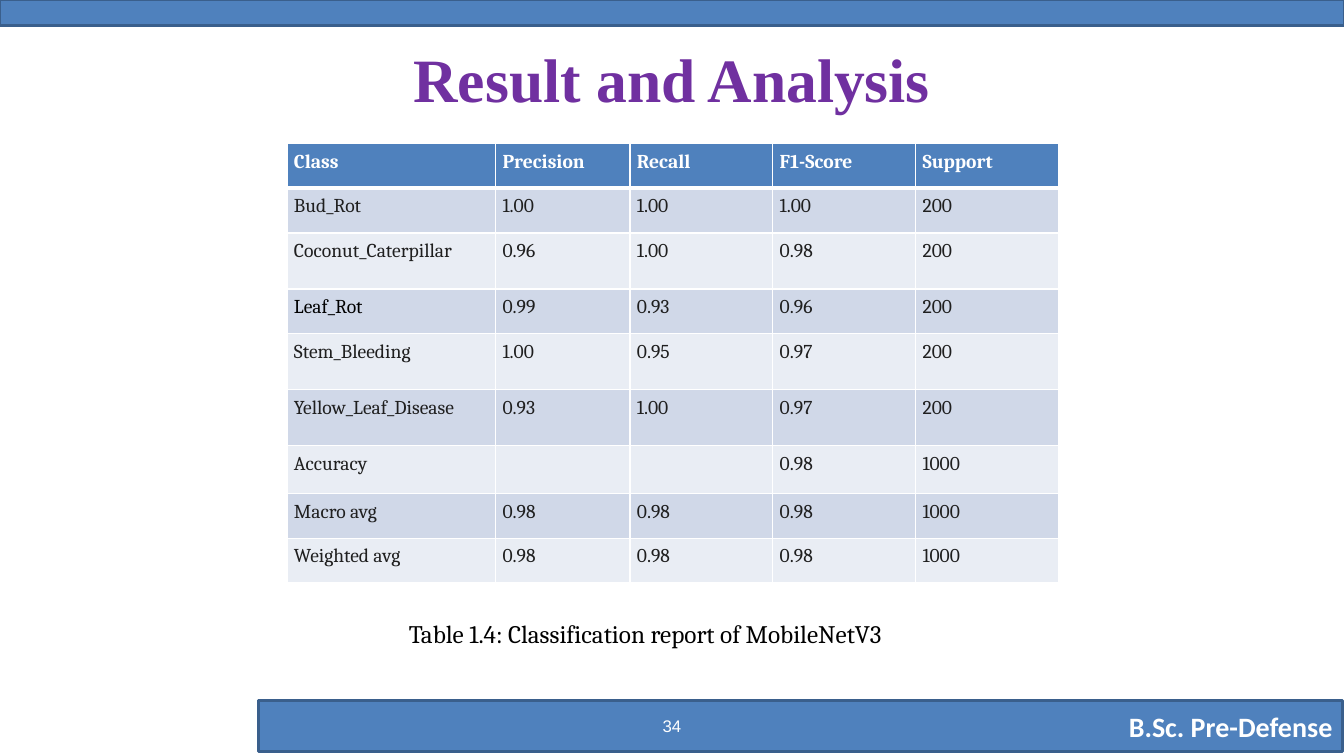
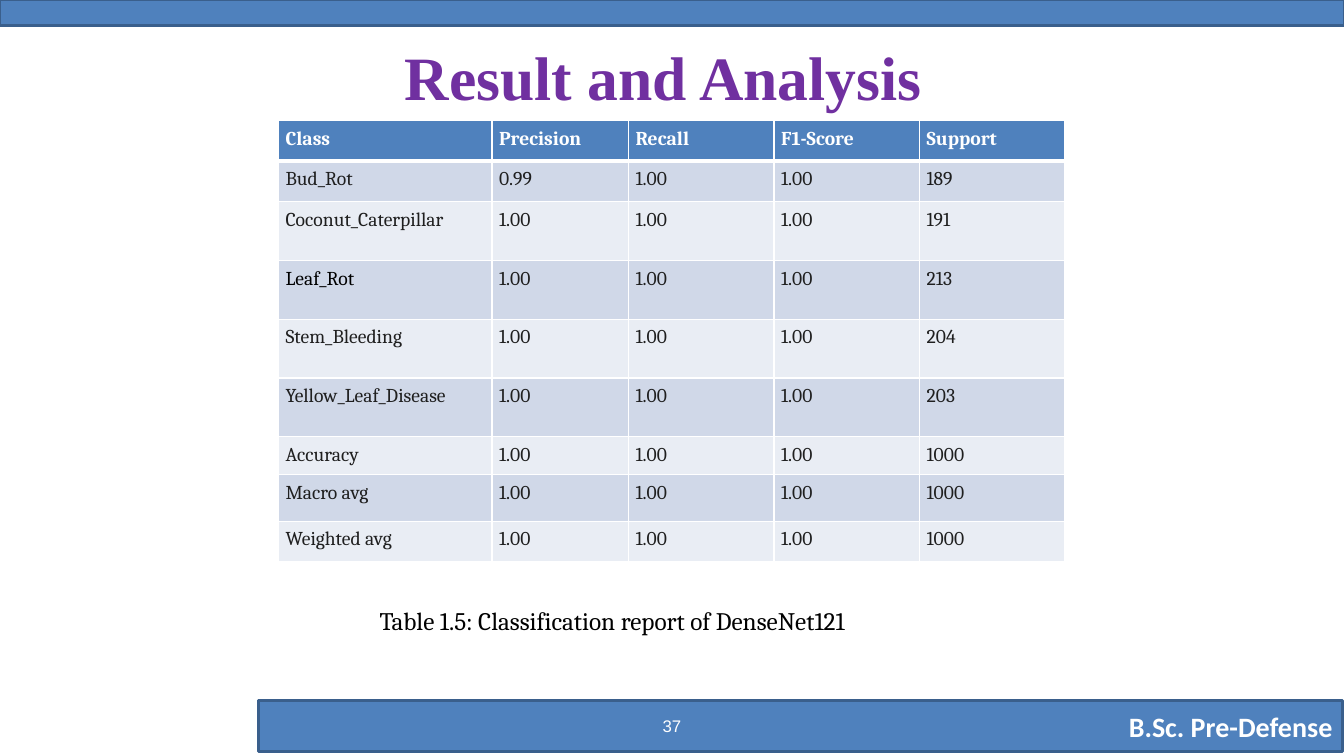
from lxml import etree
from pptx import Presentation
from pptx.dml.color import RGBColor
from pptx.enum.shapes import MSO_SHAPE
from pptx.enum.text import MSO_ANCHOR, PP_ALIGN
from pptx.oxml.ns import qn
from pptx.util import Pt

RECT = MSO_SHAPE.RECTANGLE
LEFT, MID, RIGHT = PP_ALIGN.LEFT, PP_ALIGN.CENTER, PP_ALIGN.RIGHT
TOP, CENTER = MSO_ANCHOR.TOP, MSO_ANCHOR.MIDDLE

BLUE, EDGE, WHITE, BLACK = "4F81BD", "3A5F8C", "FFFFFF", "000000"
PURPLE, INK = "7030A0", "1F1F1F"
BANDS = ("E9EDF4", "D0D8E8")
INSET = 5

HEAD = ("Class", "Precision", "Recall", "F1-Score", "Support")
NAMES = ("Bud_Rot", "Coconut_Caterpillar", "Leaf_Rot", "Stem_Bleeding",
         "Yellow_Leaf_Disease", "Accuracy", "Macro avg", "Weighted avg")
FULL = ("1.00", "1.00", "1.00")

PAGES = (
    {
        "page": "34",
        "title": (156, 21.5),
        "grid": (205, 102.5),
        "cols": (149, 96, 102, 102, 102),
        "rows": (32, 32, 40, 32, 40, 40, 34, 32, 32),
        "scores": (
            ("1.00", "1.00", "1.00", "200"),
            ("0.96", "1.00", "0.98", "200"),
            ("0.99", "0.93", "0.96", "200"),
            ("1.00", "0.95", "0.97", "200"),
            ("0.93", "1.00", "0.97", "200"),
            ("", "", "0.98", "1000"),
            ("0.98", "0.98", "0.98", "1000"),
            ("0.98", "0.98", "0.98", "1000"),
        ),
        "note": (198, 438),
        "lead": 87,
        "label": "Table 1.4: Classification report of MobileNetV3",
    },
    {
        "page": "37",
        "title": (150, 20),
        "grid": (199, 86),
        "cols": (152.5, 97.5, 104, 104, 103.5),
        "rows": (29, 29, 42, 42, 42, 42, 27, 33.5, 29),
        "scores": (
            ("0.99", "1.00", "1.00", "189"),
            (*FULL, "191"),
            (*FULL, "213"),
            (*FULL, "204"),
            (*FULL, "203"),
            (*FULL, "1000"),
            (*FULL, "1000"),
            (*FULL, "1000"),
        ),
        "note": (180, 429),
        "lead": 84,
        "label": "Table 1.5: Classification report of DenseNet121",
    },
)


def paint(part, color):
    """Give a fill, line or font one solid hex colour."""
    if hasattr(part, "solid"):
        part.solid()
        part.fore_color.rgb = RGBColor.from_string(color)
    else:
        part.color.rgb = RGBColor.from_string(color)


def write(frame, text, size=14, face="Cambria", color=BLACK, bold=False,
          align=LEFT, anchor=TOP, lead=0):
    """Put one formatted paragraph in a text frame."""
    frame.word_wrap = True
    frame.vertical_anchor = anchor
    para = frame.paragraphs[0]
    para.alignment = align
    if lead:
        para._p.get_or_add_pPr().set("marL", str(Pt(lead)))
    run = para.add_run()
    run.text = text
    font = run.font
    font.size, font.name, font.bold = Pt(size), face, bold
    paint(font, color)


def label(slide, box, text, **style):
    """Add a text box."""
    shape = slide.shapes.add_textbox(*map(Pt, box))
    write(shape.text_frame, text, **style)


def band(slide, box):
    """Add a blue bar and return it."""
    bar = slide.shapes.add_shape(RECT, *map(Pt, box))
    bar.shadow.inherit = False
    paint(bar.fill, BLUE)
    paint(bar.line, EDGE)
    bar.line.width = Pt(2)
    return bar


def rule(cell, top, base):
    """Draw white borders round a cell with the given top and base widths."""
    props = cell._tc.get_or_add_tcPr()
    sides = (("a:lnL", 1), ("a:lnR", 1), ("a:lnT", top), ("a:lnB", base))
    for spot, (tag, width) in enumerate(sides):
        line = etree.Element(qn(tag), w=str(Pt(width)))
        fill = etree.SubElement(line, qn("a:solidFill"))
        etree.SubElement(fill, qn("a:srgbClr"), val=WHITE)
        props.insert(spot, line)


def grid(slide, spot, cols, rows, data):
    """Add the score table with its top left corner at the spot."""
    size = (sum(cols), sum(rows))
    frame = slide.shapes.add_table(len(rows), len(cols), *map(Pt, spot + size))
    table = frame.table
    table.horz_banding = False
    for col, width in zip(table.columns, cols):
        col.width = Pt(width)
    for r, (row, height, texts) in enumerate(zip(table.rows, rows, data)):
        row.height = Pt(height)
        for cell, text in zip(row.cells, texts):
            cell.margin_left = cell.margin_right = Pt(INSET)
            cell.margin_top = cell.margin_bottom = Pt(INSET)
            paint(cell.fill, BANDS[r % 2] if r else BLUE)
            rule(cell, 3 if r == 1 else 1, 1 if r else 3)
            if text:
                color = BLACK if text == "Leaf_Rot" else INK
                write(cell.text_frame, text, color=color if r else WHITE,
                      bold=r == 0)


def frame(slide, page):
    """Add the top bar, the footer bar and the page number."""
    foot = band(slide, (184.5, 500.5, 774.5, 36.5))
    write(foot.text_frame, "B.Sc. Pre-Defense", size=20, face="Calibri",
          color=WHITE, bold=True, align=RIGHT, anchor=CENTER)
    band(slide, (0, 0, 960, 18))
    label(slide, (368, 504, 224, 29), page, size=12, face="Arial",
          color=WHITE, align=MID, anchor=CENTER)


def report(slide, plan):
    """Build one result slide from its plan."""
    frame(slide, plan["page"])
    label(slide, plan["title"] + (648, 68.5), "Result and Analysis", size=44,
          face="Times New Roman", color=PURPLE, bold=True, align=MID,
          anchor=CENTER)
    data = [HEAD] + [(n, *s) for n, s in zip(NAMES, plan["scores"])]
    grid(slide, plan["grid"], plan["cols"], plan["rows"], data)
    label(slide, plan["note"] + (600, 29), plan["label"], size=18,
          lead=plan["lead"])


def main():
    """Build and save the deck."""
    deck = Presentation()
    deck.slide_width, deck.slide_height = Pt(960), Pt(540)
    for plan in PAGES:
        report(deck.slides.add_slide(deck.slide_layouts[6]), plan)
    deck.save("out.pptx")


if __name__ == "__main__":
    main()
